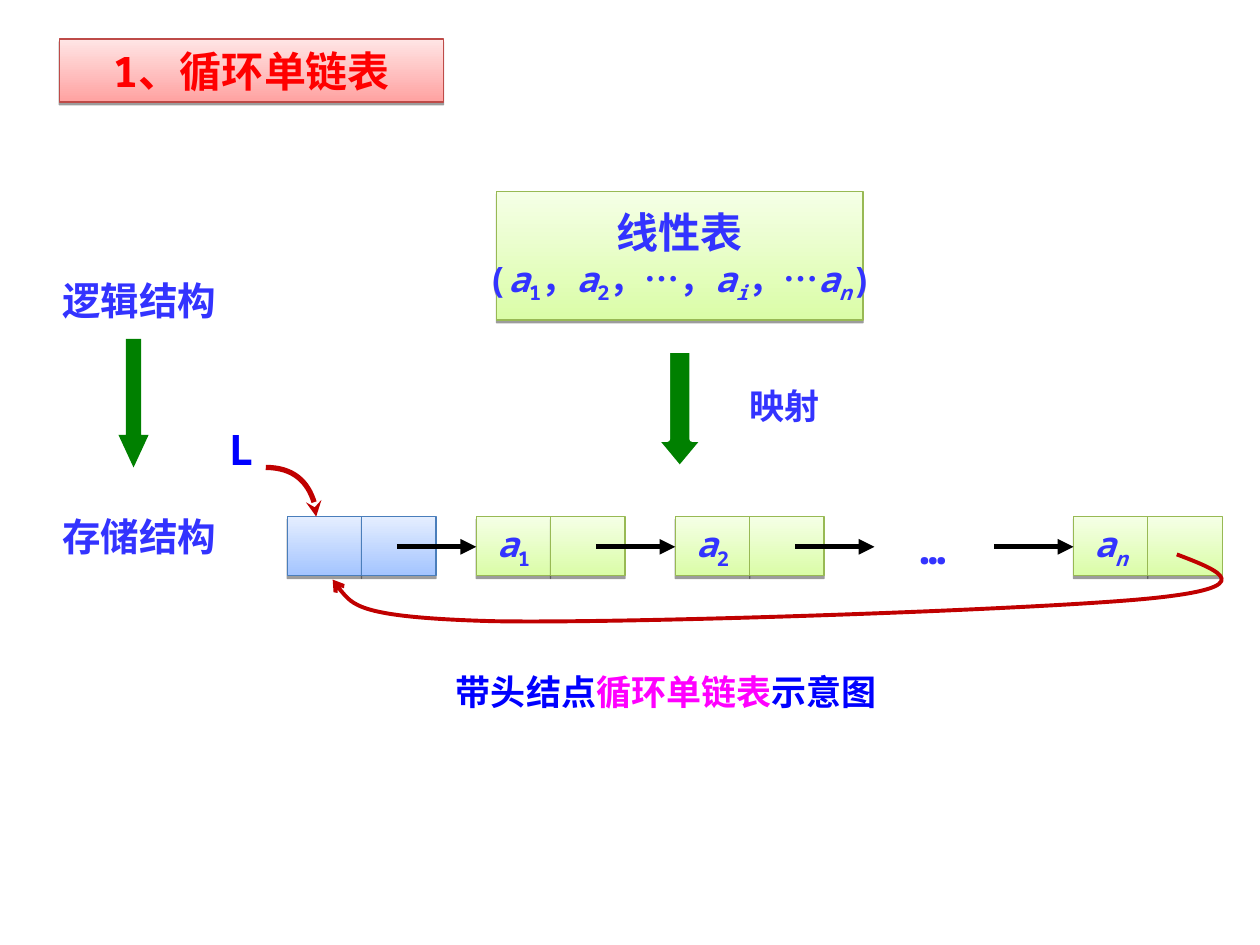
from dataclasses import dataclass

from lxml import etree
from pptx import Presentation
from pptx.dml.color import RGBColor
from pptx.enum.shapes import MSO_CONNECTOR, MSO_SHAPE
from pptx.enum.text import MSO_ANCHOR, PP_ALIGN
from pptx.oxml.ns import qn
from pptx.util import Inches, Pt

RECT, DOWN = MSO_SHAPE.RECTANGLE, MSO_SHAPE.DOWN_ARROW
LINE = MSO_CONNECTOR.STRAIGHT
LEFT, MID = PP_ALIGN.LEFT, PP_ALIGN.CENTER


@dataclass(frozen=True)
class Theme:
    font: str = "Noto Sans Mono"
    text: str = "3333FF"
    blue: str = "0000FF"
    pink: str = "FF00FF"
    red: str = "FF0000"
    curve: str = "C00000"
    arrow: str = "008000"
    link: str = "000000"
    white: str = "FFFFFF"
    # Each skin is bottom colour, top colour, border
    lime: tuple = ("DAFDA7", "F5FFE6", "98B954")
    sky: tuple = ("A3C4FF", "E5EEFF", "4A7EBB")
    rose: tuple = ("FFA2A1", "FFE5E5", "BE4B48")
    big: int = 24
    mid: int = 22
    small: int = 20


T = Theme()


def rgb(code):
    return RGBColor.from_string(code)


def area(*nums):
    return [Inches(n) for n in nums]


def add_run(para, text, size, color=T.text, italic=False, sub=False):
    run = para.add_run()
    run.text = text
    font = run.font
    font.name, font.size, font.bold = T.font, Pt(size), True
    font.italic = italic
    font.color.rgb = rgb(color)
    if sub:
        run._r.get_or_add_rPr().set("baseline", "-25000")


def add_term(para, index, slant=False):
    """Write the list element a with a lowered index."""
    add_run(para, "a", T.small, italic=True)
    add_run(para, index, T.small, italic=slant, sub=True)


def add_label(slide, box, parts, size, align=MID):
    """Add a text box; parts holds pairs of text and colour."""
    frame = slide.shapes.add_textbox(*area(*box)).text_frame
    frame.word_wrap = True
    para = frame.paragraphs[0]
    para.alignment = align
    for text, color in parts:
        add_run(para, text, size, color)


def add_shadow(shape):
    props = shape._element.spPr
    effects = etree.SubElement(props, qn("a:effectLst"))
    outer = etree.SubElement(effects, qn("a:outerShdw"), dist="20000",
                             dir="5400000", rotWithShape="0")
    color = etree.SubElement(outer, qn("a:srgbClr"), val="000000")
    etree.SubElement(color, qn("a:alpha"), val="38000")


def add_box(slide, box, skin):
    """Add a shaded box with a thin border and return its first paragraph."""
    shape = slide.shapes.add_shape(RECT, *area(*box))
    low, high, edge = skin
    fill = shape.fill
    fill.gradient()
    fill.gradient_angle = 90
    for stop, color in zip(fill.gradient_stops, (low, high)):
        stop.color.rgb = rgb(color)
    shape.line.color.rgb = rgb(edge)
    shape.line.width = Pt(0.75)
    add_shadow(shape)
    frame = shape.text_frame
    frame.word_wrap = False
    frame.vertical_anchor = MSO_ANCHOR.MIDDLE
    frame.paragraphs[0].alignment = MID
    return frame


def add_node(slide, left, skin, index=None, slant=False):
    """Add a data cell and a pointer cell side by side."""
    top, wide, high = 4.1, 0.59, 0.47
    data = add_box(slide, (left, top, wide, high), skin)
    add_box(slide, (left + wide, top, wide, high), skin)
    if index:
        add_term(data.paragraphs[0], index, slant)


def add_down(slide, box, head, edge=None):
    shape = slide.shapes.add_shape(DOWN, *area(*box))
    shape.shadow.inherit = False
    shape.adjustments[0], shape.adjustments[1] = 0.5, head
    shape.fill.solid()
    shape.fill.fore_color.rgb = rgb(T.arrow)
    if edge:
        shape.line.color.rgb = rgb(edge)
        shape.line.width = Pt(3)
    else:
        shape.line.fill.background()


def style_line(shape, color, width, head):
    shape.line.color.rgb = rgb(color)
    shape.line.width = Pt(width)
    etree.SubElement(shape.line._get_or_add_ln(), qn("a:tailEnd"), type=head)


def add_link(slide, left, top, wide):
    ends = area(left, top, left + wide, top)
    line = slide.shapes.add_connector(LINE, *ends)
    style_line(line, T.link, 3, "triangle")
    etree.SubElement(line._element.spPr, qn("a:effectLst"))


def add_curve(slide, start, points, width, head):
    """Draw a Bezier curve; each three points make one segment."""
    form = slide.shapes.build_freeform(*area(*start), scale=1.0)
    form.add_line_segments([area(*p) for p in points], close=False)
    shape = form.convert_to_shape()
    shape.shadow.inherit = False
    shape.fill.background()
    style_line(shape, T.curve, width, head)
    steps = list(shape._element.iter(qn("a:lnTo")))
    track = steps[0].getparent()
    for i in range(0, len(steps), 3):
        bend = etree.SubElement(track, qn("a:cubicBezTo"))
        for step in steps[i:i + 3]:
            bend.append(step[0])
            track.remove(step)


def add_list(slide):
    frame = add_box(slide, (3.94, 1.52, 2.91, 1.02), T.lime)
    add_run(frame.paragraphs[0], "线性表", T.big)
    para = frame.add_paragraph()
    para.alignment = MID
    terms = (("(", "1", False), ("，", "2", False),
             ("，…，", "i", True), ("，…", "n", True))
    for lead, index, slant in terms:
        add_run(para, lead, T.small)
        add_term(para, index, slant)
    add_run(para, ")", T.small)


def add_chain(slide):
    first, step = 3.78, 1.58
    add_node(slide, 2.28, T.sky)
    for slot, index, slant in ((0, "1", False), (1, "2", False), (3, "n", True)):
        add_node(slide, first + slot * step, T.lime, index, slant)
    add_label(slide, (7.09, 4.1, 0.63, 0.5), [("…", T.text)], T.big)
    for slot in range(4):
        add_link(slide, 3.15 + slot * step, 4.34, 0.63)


def main():
    deck = Presentation()
    deck.slide_width, deck.slide_height = Inches(10), Inches(7.5)
    slide = deck.slides.add_slide(deck.slide_layouts[6])

    title = add_box(slide, (0.47, 0.31, 3.05, 0.5), T.rose)
    add_run(title.paragraphs[0], "1、循环单链表", T.big, T.red)
    add_list(slide)
    add_down(slide, (5.2, 2.78, 0.39, 0.94), 0.6, T.white)
    add_label(slide, (5.7, 3, 1.05, 0.44), [("映射", T.text)], T.small)
    for top, text in ((2.15, "逻辑结构"), (4.02, "存储结构")):
        add_label(slide, (0.16, top, 1.89, 0.47), [(text, T.text)], T.mid)
    add_down(slide, (0.94, 2.69, 0.24, 1.02), 1.08)

    add_chain(slide)
    add_label(slide, (1.72, 3.31, 0.47, 0.5), [("L", T.blue)], T.big, LEFT)
    add_curve(slide, (2.11, 3.71),
              [(2.33, 3.71), (2.51, 3.88), (2.51, 4.1)], 3, "stealth")
    add_curve(slide, (9.34, 4.4),
              [(9.68, 4.53), (10.02, 4.66), (9.12, 4.75),
               (8.21, 4.84), (4.99, 4.95), (3.91, 4.93),
               (2.83, 4.9), (2.74, 4.75), (2.64, 4.6)], 2.25, "arrow")
    add_label(slide, (3.52, 5.27, 3.91, 0.44),
              [("带头结点", T.blue), ("循环单链表", T.pink), ("示意图", T.blue)],
              T.small, LEFT)
    deck.save("out.pptx")


if __name__ == "__main__":
    main()
